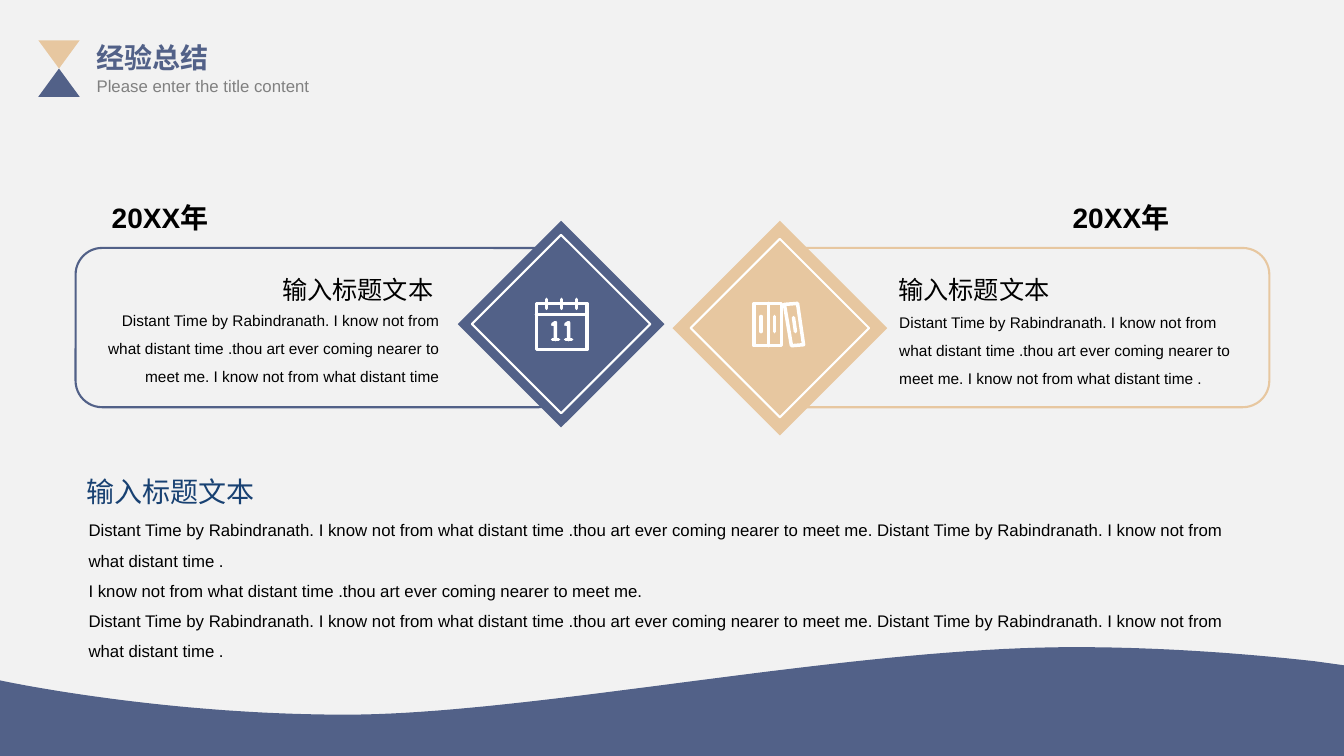
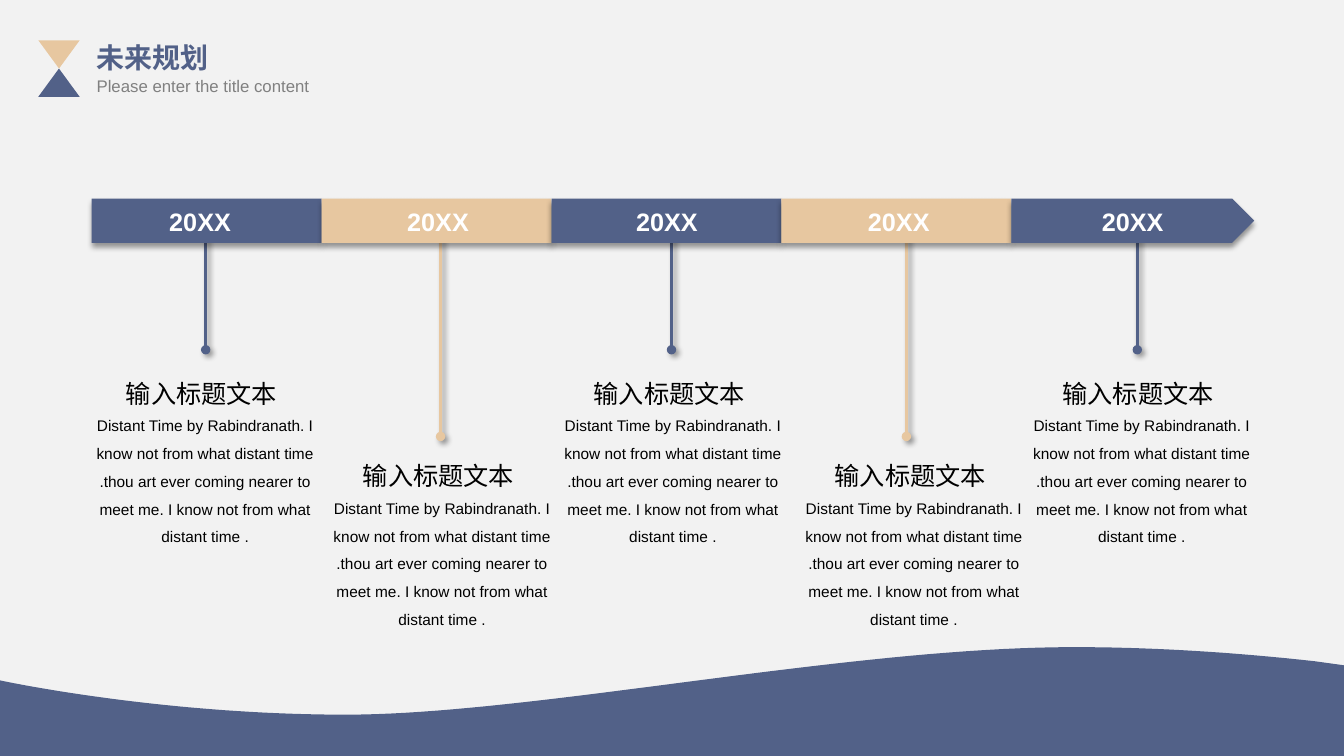
from lxml.etree import SubElement
from pptx import Presentation
from pptx.dml.color import RGBColor
from pptx.enum.shapes import MSO_CONNECTOR, MSO_SHAPE as SHAPE
from pptx.enum.text import MSO_AUTO_SIZE as AUTO, PP_ALIGN as ALIGN
from pptx.oxml.ns import qn
from pptx.util import Emu, Pt

PX = 9144
WIDTH, HEIGHT = 1333, 750
FONT = "Arial"
NAVY, SAND, WHITE, BLACK = "526188", "E7C7A0", "FFFFFF", "000000"
GREY, DEEP_BLUE, PAPER = "808080", "184172", "F2F2F2"

HEADLINE = "输入标题文本"
OPENING = "Distant Time by Rabindranath. I know not from what distant time"
MEETING = ".thou art ever coming nearer to meet me."
SHORT_BODY = f"{OPENING} {MEETING} I know not from what distant time"
BODY = f"{SHORT_BODY} ."
LONG_BODY = f"{OPENING} {MEETING} {OPENING} ."
MIDDLE_BODY = f"I know not from what distant time {MEETING}"

DIGIT_ONE = [[(0, 3), (3, 1), (3, 18)], [(0, 18), (6, 18)]]
CALENDAR = [
    [(1, 5), (51, 5), (51, 51), (1, 51), (1, 5)],
    [(1, 16), (51, 16)],
    *[[(x, 1), (x, 10)] for x in (11, 26, 41)],
    *[[(x + left, y + 23) for x, y in stroke]
      for left in (17, 30) for stroke in DIGIT_ONE],
]
BINDERS = [
    [(1, 1), (28, 1), (28, 43), (1, 43), (1, 1)],
    [(15, 1), (15, 43)],
    [(8, 14), (8, 29)],
    [(21, 14), (21, 29)],
    [(31, 2), (44, 1), (50, 42), (38, 43), (31, 2)],
    [(40, 15), (42, 29)],
]


def px(length):
    """Turn a length in px into EMU."""
    return Emu(round(length * PX))


def color(value):
    """Turn a hex string into a colour."""
    return RGBColor.from_string(value)


def cast_shadow(effects, angle):
    """Put a soft black shadow in an effect list."""
    shadow = SubElement(effects, qn("a:outerShdw"), blurRad=str(Pt(4)), dist=str(Pt(3)),
                        dir=str(angle * 60000), algn="t", rotWithShape="0")
    tint = SubElement(shadow, qn("a:srgbClr"), val=BLACK)
    SubElement(tint, qn("a:alpha"), val="40000")


def paint(shape, fill=None, line=None, weight=1.5):
    """Set the fill and outline of a shape and take off its shadow."""
    shape.shadow.inherit = False
    if fill:
        shape.fill.solid()
        shape.fill.fore_color.rgb = color(fill)
    else:
        shape.fill.background()
    if line:
        shape.line.color.rgb = color(line)
        shape.line.width = Pt(weight)
    else:
        shape.line.fill.background()
    return shape


def draw(page, kind, box, **style):
    """Add a painted preset shape."""
    return paint(page.shapes.add_shape(kind, *map(px, box)), **style)


def outline(page, points, **style):
    """Add a painted freeform through the points."""
    start, *others = [(px(x), px(y)) for x, y in points]
    builder = page.shapes.build_freeform(*start, scale=1.0)
    builder.add_line_segments(others, close=points[0] == points[-1])
    return paint(builder.convert_to_shape(), **style)


def connect(page, start, end, line, weight):
    """Add a straight line and return it with its empty effect list."""
    connector = page.shapes.add_connector(
        MSO_CONNECTOR.STRAIGHT, *map(px, (*start, *end)))
    connector.line.color.rgb = color(line)
    connector.line.width = Pt(weight)
    return connector, SubElement(connector._element.spPr, qn("a:effectLst"))


def write(page, box, lines, size, ink=BLACK, bold=False, align=ALIGN.JUSTIFY,
          spacing=None, wrap=True):
    """Add a text box with one paragraph for each line."""
    frame = page.shapes.add_textbox(*map(px, box)).text_frame
    frame.word_wrap = wrap
    frame.auto_size = AUTO.SHAPE_TO_FIT_TEXT
    frame.text = "\n".join(lines)
    for para in frame.paragraphs:
        para.alignment = align
        para.line_spacing = spacing
        para.font.name = FONT
        para.font.size = Pt(size)
        para.font.bold = bold
        para.font.color.rgb = color(ink)


def curve(start, first, second, end, steps=40):
    """Return points along a cubic curve, without its start."""
    points = []
    for step in range(1, steps + 1):
        t = step / steps
        weights = ((1 - t) ** 3, 3 * t * (1 - t) ** 2, 3 * t * t * (1 - t), t ** 3)
        points.append(tuple(
            sum(weight * value for weight, value in zip(weights, values))
            for values in zip(start, first, second, end)))
    return points


def add_wave(page, left, top):
    """Draw the wave along the foot of the page."""
    crest, trough = (1065, 0), (343, 67)
    bottom = HEIGHT - top
    points = [
        crest,
        *curve(crest, (840, 0), (528, 67), trough),
        *curve(trough, (157, 67), (0, 33), (0, 33)),
        (0, bottom), (WIDTH, bottom), (WIDTH, 18), (1304, 14),
        *curve((1304, 14), (1232, 6), (1149, 0), crest),
    ]
    outline(page, [(left + x, top + y) for x, y in points], fill=NAVY)


def add_header(page, left, top, title):
    """Place the hourglass, the title and the subtitle."""
    draw(page, SHAPE.ISOSCELES_TRIANGLE, (left, top + 28, 41, 28), fill=NAVY)
    draw(page, SHAPE.ISOSCELES_TRIANGLE, (left, top, 41, 28), fill=SAND).rotation = 180
    write(page, (left + 48, top - 5, 179, 44), [title], 20, NAVY, bold=True)
    write(page, (left + 48, top + 30, 264, 30), ["Please enter the title content"], 12, GREY)


def add_page(deck, title):
    """Add a page with the parts that all pages share."""
    page = deck.slides.add_slide(deck.slide_layouts[6])
    page.background.fill.solid()
    page.background.fill.fore_color.rgb = color(PAPER)
    add_wave(page, 0, 642)
    add_header(page, 38, 40, title)
    return page


def add_icon(page, left, top, strokes):
    """Draw an icon of white strokes."""
    for stroke in strokes:
        points = [(left + x, top + y) for x, y in stroke]
        if len(points) == 2:
            shape, _ = connect(page, *points, WHITE, 2.5)
        else:
            shape = outline(page, points, line=WHITE, weight=2.5)
        pen = shape.line._get_or_add_ln()
        pen.set("cap", "rnd")
        SubElement(pen, qn("a:round"))


def add_diamond(page, left, top, size, fill, icon, icon_at):
    """Draw a diamond with an inner outline and an icon."""
    inner = 177
    inset = (size - inner) // 2
    draw(page, SHAPE.DIAMOND, (left, top, size, size), fill=fill)
    draw(page, SHAPE.DIAMOND, (left + inset, top + inset, inner, inner), line=WHITE)
    add_icon(page, left + icon_at[0], top + icon_at[1], icon)


def add_year_panel(page, left, top, tone, year_x, title_x, body_at, body, align,
                   diamond_x, diamond_size, icon, icon_at):
    """Place a framed text with its year and diamond."""
    draw(page, SHAPE.ROUNDED_RECTANGLE, (left, top, 486, 158), line=tone)
    write(page, (left + year_x, top - 52, 179, 44), ["20XX年"], 20, bold=True)
    add_diamond(page, left + diamond_x, top - 27, diamond_size, tone, icon, icon_at)
    write(page, (left + title_x, top + 21, 178, 40), [HEADLINE], 18)
    write(page, (left + body_at[0], top + body_at[1], 371, 93), [body], 11,
          align=align, spacing=1.5)


def add_summary(page, left, top):
    """Place the closing heading and its paragraphs."""
    write(page, (left, top, 206, 44), [HEADLINE], 20, DEEP_BLUE)
    write(page, (left + 2, top + 35, 1177, 162), [LONG_BODY, MIDDLE_BODY, LONG_BODY], 12,
          align=ALIGN.LEFT, spacing=1.5)


def add_caption(page, left, top):
    """Place a heading over a centred text."""
    write(page, (left + 31, top, 178, 40), [HEADLINE], 18)
    write(page, (left, top + 29, 239, 149), [BODY], 11, align=ALIGN.CENTER, spacing=1.5)


def add_timeline(page, left, top):
    """Place the band of years with stems and captions."""
    bar = 228
    stems = (113, 346, 575, 808, 1037)
    captions = (-7, 228, 457, 696, 922)
    labels = (67, 303, 530, 760, 992)
    tones = (NAVY, SAND, NAVY, SAND, NAVY)
    for x, tone in zip(stems, tones):
        drop = 150 if tone == NAVY else 236
        stem, effects = connect(page, (left + x, top + 25), (left + x, top + drop), tone, 2.25)
        SubElement(stem.line._get_or_add_ln(), qn("a:tailEnd"), type="oval")
        cast_shadow(effects, 45)
    for index, tone in enumerate(tones):
        last = index == len(tones) - 1
        kind, width = (SHAPE.PENTAGON, 241) if last else (SHAPE.RECTANGLE, bar)
        shape = draw(page, kind, (left + index * bar, top, width, 44), fill=tone)
        cast_shadow(shape._element.spPr.find(qn("a:effectLst")), 90)
    for caption, label, tone in zip(captions, labels, tones):
        add_caption(page, left + caption, top + (173 if tone == NAVY else 255))
        write(page, (left + label, top + 3, 82, 40), ["20XX"], 18, WHITE, bold=True,
              align=ALIGN.LEFT, wrap=False)


def build_review(deck):
    """Build the page that sums up experience."""
    page = add_page(deck, "经验总结")
    add_year_panel(page, 773, 246, SAND, year_x=281, title_x=108, body_at=(109, 51),
                   body=BODY, align=ALIGN.LEFT, diamond_x=-106, diamond_size=213,
                   icon=BINDERS, icon_at=(80, 81))
    add_year_panel(page, 75, 246, NAVY, year_x=26, title_x=195, body_at=(0, 49),
                   body=SHORT_BODY, align=ALIGN.RIGHT, diamond_x=379, diamond_size=205,
                   icon=CALENDAR, icon_at=(77, 77))
    add_summary(page, 76, 466)


def build_plan(deck):
    """Build the page with the plan for the future."""
    add_timeline(add_page(deck, "未来规划"), 91, 197)


def main():
    """Build and save the deck."""
    deck = Presentation()
    deck.slide_width, deck.slide_height = px(WIDTH), px(HEIGHT)
    build_review(deck)
    build_plan(deck)
    deck.save("out.pptx")


if __name__ == "__main__":
    main()
